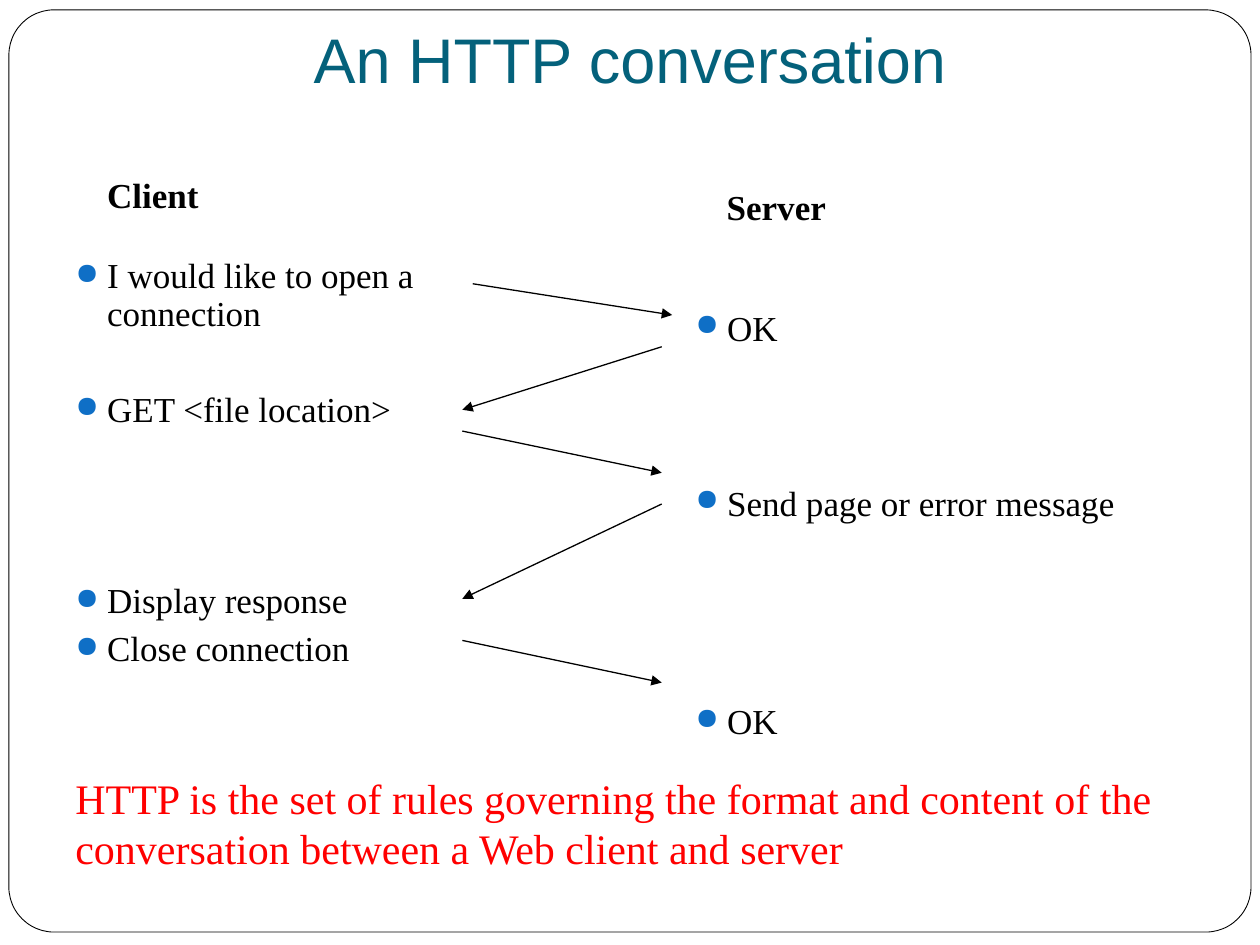
from pptx import Presentation
from pptx.dml.color import RGBColor
from pptx.enum.shapes import MSO_CONNECTOR as Link, MSO_SHAPE as Preset
from pptx.enum.text import MSO_ANCHOR as Anchor, PP_ALIGN as Align
from pptx.oxml.ns import qn
from pptx.util import Cm, Pt
from lxml.etree import SubElement

BLACK = RGBColor(0x00, 0x00, 0x00)
WHITE = RGBColor(0xFF, 0xFF, 0xFF)
RED = RGBColor(0xFF, 0x00, 0x00)
TEAL = RGBColor(0x04, 0x61, 0x7B)
BLUE = RGBColor(0x0F, 0x6F, 0xC6)

BASE = {"name": "Times New Roman", "size": Pt(20), "bold": False}
HEADING = {**BASE, "bold": True}
SUMMARY = {**BASE, "size": Pt(24)}
TITLE = {"name": "Arial", "size": Pt(36), "bold": False}

LINE_HEIGHT = 24
PARAGRAPH_GAP = 5.8
CLIENT_X, SERVER_X, FIRST_SHIFT = 9.32, 13.34, 0.21

CLIENT_STEPS = [
    ("I would like to open a connection", 0),
    ("GET <file location>", 1),
    ("Display response", 3),
    ("Close connection", 0),
]
SERVER_STEPS = [("OK", 0), ("Send page or error message", 3), ("OK", 4)]
MESSAGES = [
    (CLIENT_X + FIRST_SHIFT, 5.72, SERVER_X + FIRST_SHIFT, 6.35),
    (SERVER_X, 6.99, CLIENT_X, 8.26),
    (CLIENT_X, 8.69, SERVER_X, 9.53),
    (SERVER_X, 10.16, CLIENT_X, 12.07),
    (CLIENT_X, 12.91, SERVER_X, 13.76),
]


class ConversationPage:
    """Holds the style and the current slide, and draws each kind of element."""

    def __init__(self, deck):
        self.page = deck.slides.add_slide(deck.slide_layouts[5])
        self.shapes = self.page.shapes

    def add_span(self, para, text, style, color):
        span = para.add_run()
        span.text = text
        for name, value in style.items():
            setattr(span.font, name, value)
        span.font.color.rgb = color

    def frame(self, left, top, width, height):
        border = self.shapes.add_shape(
            Preset.ROUNDED_RECTANGLE, Cm(left), Cm(top), Cm(width), Cm(height))
        border.adjustments[0] = 0.049
        border.shadow.inherit = False
        border.fill.solid()
        border.fill.fore_color.rgb = WHITE
        border.line.color.rgb = BLACK
        border.line.width = Pt(0.5)

    def box(self, left, top, width, height):
        box = self.shapes.add_textbox(Cm(left), Cm(top), Cm(width), Cm(height))
        box.text_frame.word_wrap = True
        return box.text_frame

    def text(self, area, text, style, color=BLACK):
        self.add_span(self.box(*area).paragraphs[0], text, style, color)

    def steps(self, area, steps, spacing):
        frame = self.box(*area)
        pitch = LINE_HEIGHT * spacing + PARAGRAPH_GAP
        for index, (text, skipped) in enumerate(steps):
            para = frame.add_paragraph() if index else frame.paragraphs[0]
            para.line_spacing = spacing
            para.space_before = Pt(PARAGRAPH_GAP + skipped * pitch)
            self.bullet(para)
            self.add_span(para, text, BASE, BLACK)

    def bullet(self, para):
        props = para._p.get_or_add_pPr()
        indent = Cm(0.64)
        props.set("marL", str(indent))
        props.set("indent", str(-indent))
        SubElement(SubElement(props, qn("a:buClr")), qn("a:srgbClr"), val=str(BLUE))
        SubElement(props, qn("a:buSzPct"), val="85000")
        SubElement(props, qn("a:buChar"), char="●")

    def arrow(self, *ends):
        arrow = self.shapes.add_connector(Link.STRAIGHT, *map(Cm, ends))
        arrow.line.color.rgb = BLACK
        arrow.line.width = Pt(0.75)
        props = arrow.element.spPr
        SubElement(props.find(qn("a:ln")), qn("a:tailEnd"), type="triangle")
        SubElement(props, qn("a:effectLst"))

    def title(self, text, left, top, width, height):
        title = self.shapes.title
        place = {"left": left, "top": top, "width": width, "height": height}
        for name, value in place.items():
            setattr(title, name, Cm(value))
        title.text_frame.vertical_anchor = Anchor.MIDDLE
        para = title.text_frame.paragraphs[0]
        para.alignment = Align.CENTER
        self.add_span(para, text, TITLE, TEAL)
        title.element.getparent().append(title.element)


def main():
    deck = Presentation()
    deck.slide_width, deck.slide_height = Cm(25.4), Cm(19.05)
    talk = ConversationPage(deck)
    talk.frame(0.18, 0.2, 25.04, 18.59)
    talk.steps((1.27, 5.08, 8.26, 8.76), CLIENT_STEPS, 0.9)
    talk.steps((13.77, 6.21, 11.23, 9.03), SERVER_STEPS, 0.8)
    talk.text((1.91, 3.38, 2.46, 1.09), "Client", HEADING)
    talk.text((14.4, 3.61, 2.72, 1.09), "Server", HEADING)
    for message in MESSAGES:
        talk.arrow(*message)
    talk.text(
        (1.27, 15.44, 22.86, 2.29),
        "HTTP is the set of rules governing the format and content of the "
        "conversation between a Web client and server", SUMMARY, RED)
    talk.title("An HTTP conversation", 1.27, 0, 22.86, 2.34)
    deck.save("out.pptx")


if __name__ == "__main__":
    main()
